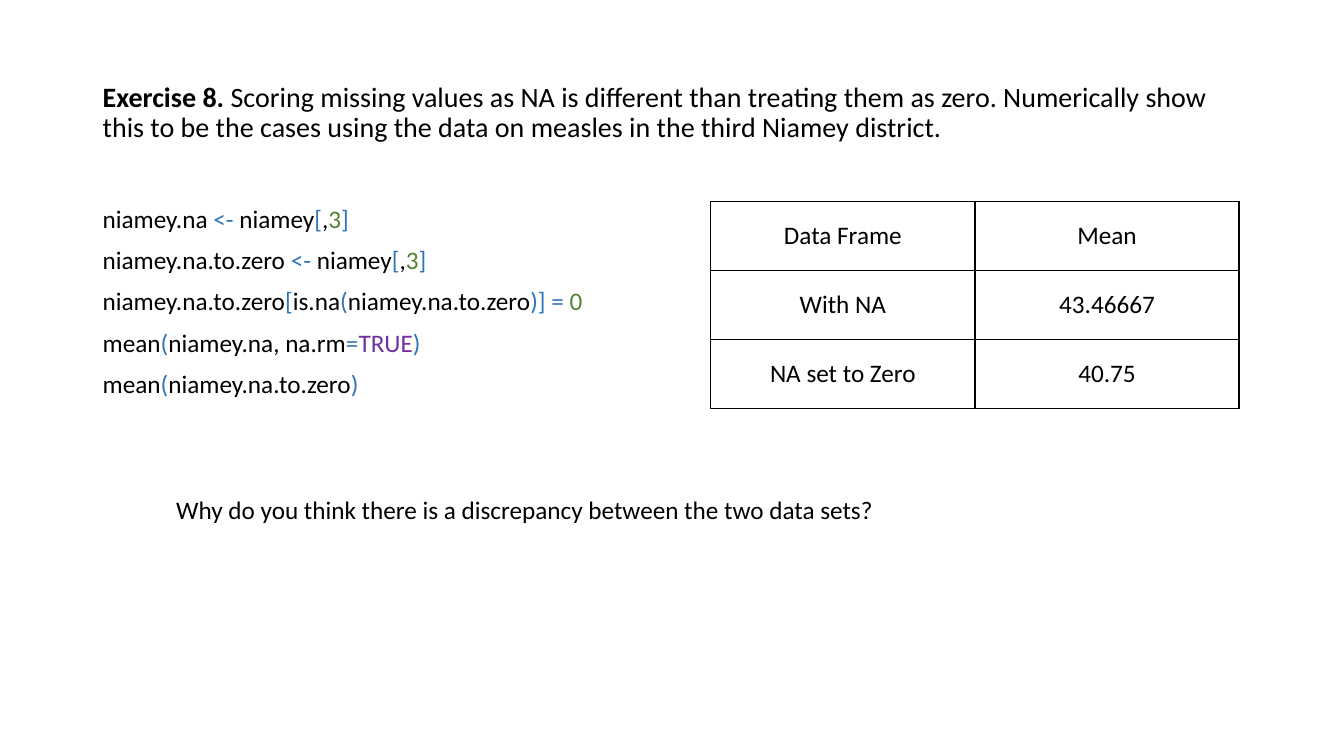
from dataclasses import dataclass

from lxml.etree import SubElement
from pptx import Presentation
from pptx.dml.color import RGBColor
from pptx.enum.text import MSO_ANCHOR, PP_ALIGN
from pptx.oxml.ns import qn
from pptx.util import Inches, Pt


@dataclass(frozen=True)
class Theme:
    font: str = "Calibri"
    title_size: int = 20
    body_size: int = 18
    text: str = "000000"
    operator: str = "2E75B6"
    number: str = "548235"
    constant: str = "7030A0"
    border: str = "000000"
    border_width: int = 1


THEME = Theme()
OP, NUM, CONST = THEME.operator, THEME.number, THEME.constant

TITLE = [
    ("Exercise 8.", {"bold": True}),
    (" Scoring missing values as NA is different than treating them as zero. "
     "Numerically show this to be the cases using the data on measles "
     "in the third Niamey district.", {}),
]

# Each code line is a list of (text, colour) pieces
THIRD_COLUMN = [("<- ", OP), ("niamey", THEME.text), ("[", OP),
                (",", THEME.text), ("3", NUM), ("]", OP)]
CODE = [
    [("niamey.na ", THEME.text), *THIRD_COLUMN],
    [("niamey.na.to.zero ", THEME.text), *THIRD_COLUMN],
    [("niamey.na.to.zero", THEME.text), ("[", OP), ("is.na", THEME.text),
     ("(", OP), ("niamey.na.to.zero", THEME.text), (")] = ", OP), ("0", NUM)],
    [("mean", THEME.text), ("(", OP), ("niamey.na, na.rm", THEME.text),
     ("=", OP), ("TRUE", CONST), (")", OP)],
    [("mean", THEME.text), ("(", OP), ("niamey.na.to.zero", THEME.text), (")", OP)],
]

MEANS = [
    ["Data Frame", "Mean"],
    ["With NA", "43.46667"],
    ["NA set to Zero", "40.75"],
]

QUESTION = "Why do you think there is a discrepancy between the two data sets?"


def add_run(p, text, size=THEME.body_size, color=THEME.text, bold=False):
    r = p.add_run()
    r.text = text
    r.font.name = THEME.font
    r.font.size = Pt(size)
    r.font.bold = bold
    r.font.color.rgb = RGBColor.from_string(color)


class SlideBuilder:
    def __init__(self, prs, theme):
        self.theme = theme
        self.s = prs.slides.add_slide(prs.slide_layouts[6])

    def text(self, box, paragraphs, size, anchor=MSO_ANCHOR.TOP,
             line_spacing=None, space_before=0):
        """Add a text box; a paragraph is a list of (text, format) runs."""
        sp = self.s.shapes.add_textbox(*map(Inches, box))
        tf = sp.text_frame
        tf.word_wrap = True
        tf.vertical_anchor = anchor
        for i, runs in enumerate(paragraphs):
            p = tf.add_paragraph() if i else tf.paragraphs[0]
            p.line_spacing = line_spacing
            p.space_before = Pt(space_before)
            for text, fmt in runs:
                add_run(p, text, size=size, **fmt)

    def table(self, box, rows):
        shape = self.s.shapes.add_table(len(rows), len(rows[0]), *map(Inches, box))
        tbl = shape.table
        tbl.first_row = tbl.horz_banding = False
        for i, row in enumerate(rows):
            for j, text in enumerate(row):
                cell = tbl.cell(i, j)
                cell.vertical_anchor = MSO_ANCHOR.MIDDLE
                p = cell.text_frame.paragraphs[0]
                p.alignment = PP_ALIGN.CENTER
                add_run(p, text)
                self.borders(cell)
                cell.fill.background()

    def borders(self, cell):
        tc_pr = cell._tc.get_or_add_tcPr()
        for side in ("lnL", "lnR", "lnT", "lnB"):
            ln = SubElement(tc_pr, qn(f"a:{side}"), w=str(Pt(self.theme.border_width)))
            fill = SubElement(ln, qn("a:solidFill"))
            SubElement(fill, qn("a:srgbClr"), val=self.theme.border)


def main():
    prs = Presentation()
    prs.slide_width, prs.slide_height = Inches(13.33), Inches(7.5)
    slide = SlideBuilder(prs, THEME)

    # Exercise statement
    slide.text((0.92, 0.4, 11.5, 1.45), [TITLE], THEME.title_size,
               anchor=MSO_ANCHOR.MIDDLE, line_spacing=0.9)

    # R code
    code = [[(text, {"color": color}) for text, color in line] for line in CODE]
    slide.text((0.92, 2, 5.75, 4.76), code, THEME.body_size,
               line_spacing=0.9, space_before=10)

    # Table of means
    slide.table((7.05, 2, 5.24, 2.05), MEANS)

    # Closing question
    slide.text((1.65, 4.86, 10.04, 0.4), [[(QUESTION, {})]], THEME.body_size)

    prs.save("out.pptx")


if __name__ == "__main__":
    main()
